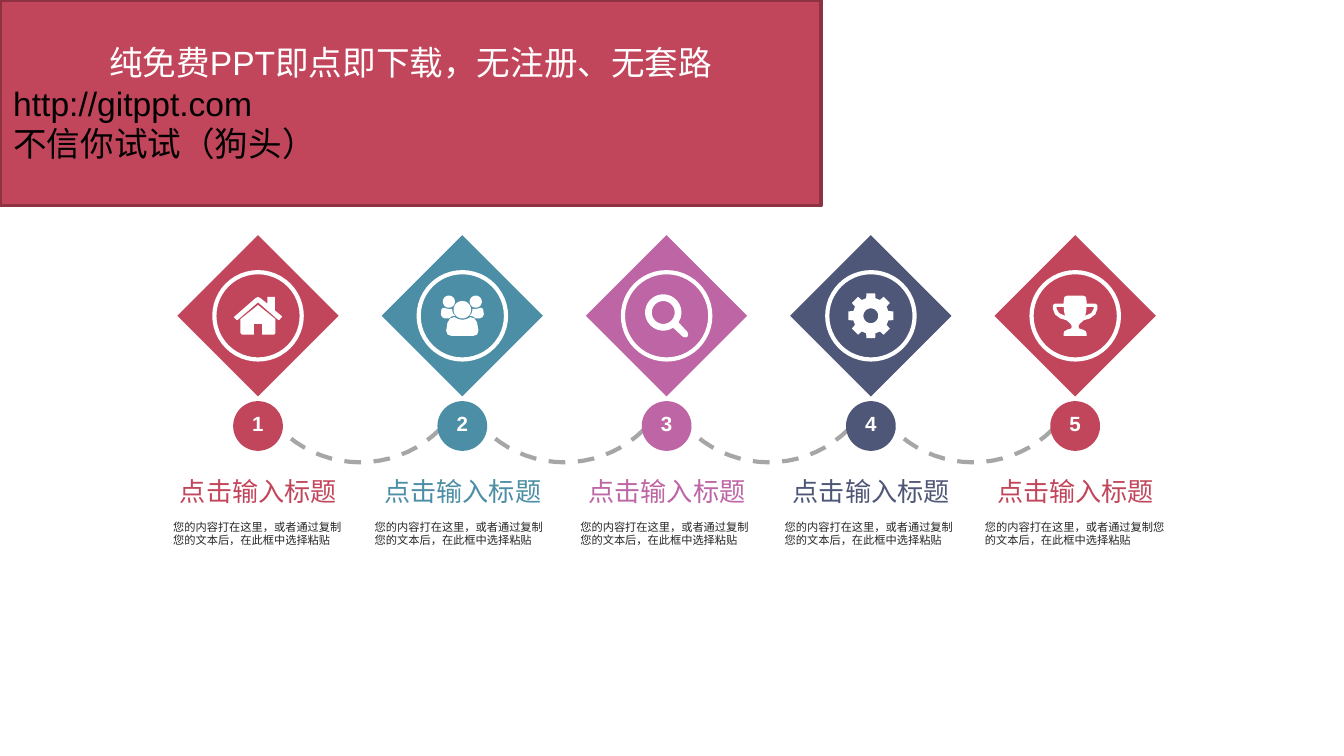
"""Build a five-step timeline slide with diamond icons and a banner."""
from dataclasses import dataclass
from math import cos, radians, sin

from pptx import Presentation
from pptx.dml.color import RGBColor
from pptx.enum.dml import MSO_LINE
from pptx.enum.shapes import MSO_SHAPE as Kind
from pptx.enum.text import MSO_ANCHOR as Anchor, PP_ALIGN as Align
from pptx.shapes.autoshape import Shape
from pptx.slide import Slide
from pptx.util import Inches, Pt

HUES = {
    "red": "C2465B", "teal": "4C8EA5", "pink": "BD65A5", "navy": "4F5778",
    "edge": "8E3141", "dash": "A6A6A6", "ink": "262626",
    "white": "FFFFFF", "black": "000000",
}
WIDTH = 10
HEIGHT = WIDTH * 9 / 16
FIRST, PITCH, MID = 1.92, 1.52, 2.35
TITLE = "点击输入标题"
BODY = "您的内容打在这里，或者通过复制您的文本后，在此框中选择粘贴"

Points = list[tuple[float, float]]


@dataclass
class Line:
    text: str
    size: float
    hue: str
    bold: bool = False
    align: Align = Align.LEFT
    space: float = 1.0


@dataclass
class Step:
    hue: str
    icon: list[Points]
    left: float
    width: float


def arc(x: float, y: float, size: float, start: int = 0, end: int = 360) -> Points:
    return [(x + size * cos(radians(a)), y + size * sin(radians(a)))
            for a in range(start, end + 1, 5)]


def flip(points: Points) -> Points:
    return [(-x, y) for x, y in points]


def whole(half: Points) -> Points:
    return half + flip(half)[::-1]


def gear() -> Points:
    return [(r * cos(radians(45 * k + a)), r * sin(radians(45 * k + a)))
            for k in range(8)
            for r, a in ((13.5, -15), (17, -11), (17, 11), (13.5, 15))]


ROOF = [(-18, 1), (-2, -13), (0, -14), (2, -13), (7, -9), (7, -14), (12.5, -14),
        (12.5, -4), (18, 0.5), (16, 3), (15, 3), (0, -10), (-15, 3), (-16, 3)]
WALL = whole([(0, -8), (13, 2.5), (13, 13), (12, 14), (3, 14), (3, 6)])
SIDE = [(-10, 2), (-13, 2), (-15, 1), (-16, -1), (-15.5, -5), (-14, -6),
        (-10, -5), (-7.5, -5.2), (-7.5, -4), (-7, -2), (-5.5, 0), (-8, 0.5)]
CHEST = whole([(0, 3), (3, 2.5), (6, 1), (9, 2), (11, 5), (12, 11), (11, 14), (8, 15)])
GRIP = [(5, 9), (9, 5), (15.5, 12), (16, 14), (15.5, 15.5), (14, 16), (12, 15.5)]
CUP = whole([(0, -15), (6, -15), (8, -14), (8.5, -11), (8.5, -9), (15, -9),
             (16.5, -8), (16.5, -5), (15, -1), (11, 2), (6.5, 3.3), (4.5, 5),
             (3, 6.5), (2.5, 8), (3, 9.5), (5.5, 10.2), (8, 11.5), (8.5, 13),
             (8.5, 15), (0, 15)])
EAR = [(8.5, -6.5), (13.7, -6.5), (13.7, -5), (12, -2), (7.5, 0), (8.2, -3)]

HOUSE = [ROOF, WALL]
TEAM = [SIDE, flip(SIDE), CHEST, arc(-10, -10.5, 4.5), arc(10, -10.5, 4.5),
        arc(0, -4.5, 6.5)]
LENS = [arc(-2.5, -2.5, 13.5), arc(-2.5, -2.5, 8.5), GRIP]
GEAR = [gear(), arc(0, 0, 5.5)]
PRIZE = [CUP, EAR, flip(EAR)]

STEPS = [
    Step("red", HOUSE, 1.19, 1.45),
    Step("teal", TEAM, 2.69, 1.5),
    Step("pink", LENS, 4.22, 1.48),
    Step("navy", GEAR, 5.74, 1.49),
    Step("red", PRIZE, 7.23, 1.55),
]


def tint(hue: str) -> RGBColor:
    return RGBColor.from_string(HUES[hue])


def paint(shape: Shape, fill: str = "", edge: str = "", weight: float = 2.25) -> None:
    shape.shadow.inherit = False
    if fill:
        shape.fill.solid()
        shape.fill.fore_color.rgb = tint(fill)
    else:
        shape.fill.background()
    if edge:
        shape.line.color.rgb = tint(edge)
        shape.line.width = Pt(weight)
    else:
        shape.line.fill.background()


def block(slide: Slide, kind: Kind, x: float, y: float, wide: float, high: float,
          fill: str, edge: str = "", weight: float = 2.25) -> Shape:
    shape = slide.shapes.add_shape(kind, Inches(x), Inches(y), Inches(wide), Inches(high))
    paint(shape, fill, edge, weight)
    return shape


def center(slide: Slide, kind: Kind, x: float, y: float, size: float,
           fill: str, edge: str = "") -> Shape:
    return block(slide, kind, x - size / 2, y - size / 2, size, size, fill, edge)


def trace(slide: Slide, parts: list[Points], x: float, y: float, close: bool) -> Shape:
    spots = [[(Inches(x + u / 100), Inches(y + v / 100)) for u, v in part]
             for part in parts]
    pen = slide.shapes.build_freeform(*spots[0][0])
    pen.add_line_segments(spots[0][1:], close=close)
    for part in spots[1:]:
        pen.move_to(*part[0])
        pen.add_line_segments(part[1:], close=close)
    return pen.convert_to_shape()


def write(shape: Shape, lines: list[Line], anchor: Anchor, wrap: bool) -> None:
    frame = shape.text_frame
    frame.word_wrap = wrap
    frame.vertical_anchor = anchor
    for i, line in enumerate(lines):
        para = frame.add_paragraph() if i else frame.paragraphs[0]
        para.alignment = line.align
        para.line_spacing = line.space
        run = para.add_run()
        run.text = line.text
        run.font.name = "Arial"
        run.font.size = Pt(line.size)
        run.font.bold = line.bold
        run.font.color.rgb = tint(line.hue)


def label(slide: Slide, x: float, y: float, wide: float, high: float,
          line: Line, anchor: Anchor, wrap: bool) -> None:
    box = slide.shapes.add_textbox(Inches(x), Inches(y), Inches(wide), Inches(high))
    write(box, [line], anchor, wrap)


def link(slide: Slide, x: float) -> None:
    curve = trace(slide, [arc(0, 0, 84, 45, 135)], x, 2.6, False)
    paint(curve, edge="dash")
    curve.line.dash_style = MSO_LINE.DASH


def badge(slide: Slide, x: float, num: int, hue: str) -> None:
    disc = center(slide, Kind.OVAL, x, 3.17, 0.37, hue)
    line = Line(str(num), 11, "white", True, Align.CENTER, 0.8)
    write(disc, [line], Anchor.MIDDLE, False)


def draw(slide: Slide, x: float, step: Step) -> None:
    center(slide, Kind.DIAMOND, x, MID, 1.2, step.hue)
    center(slide, Kind.OVAL, x, MID, 0.65, step.hue, "white")
    paint(trace(slide, step.icon, x, MID, True), "white")
    label(slide, x - 0.68, 3.35, 1.41, 0.47, Line(TITLE, 14, step.hue),
          Anchor.BOTTOM, False)
    label(slide, step.left, 3.82, step.width, 0.42, Line(BODY, 6, "ink"),
          Anchor.TOP, True)


def main() -> None:
    deck = Presentation()
    deck.slide_width, deck.slide_height = Inches(WIDTH), Inches(HEIGHT)
    slide = deck.slides.add_slide(deck.slide_layouts[6])
    spots = [FIRST + PITCH * i for i in range(len(STEPS))]
    for x in spots[:-1]:
        link(slide, x + PITCH / 2)
    for num, (x, step) in enumerate(zip(spots, STEPS), 1):
        badge(slide, x, num, step.hue)
    for x, step in zip(spots, STEPS):
        draw(slide, x, step)
    banner = block(slide, Kind.RECTANGLE, 0, 0, 6.11, 1.53, "red", "edge", 2)
    write(banner, [
        Line("纯免费PPT即点即下载，无注册、无套路", 18, "white", align=Align.CENTER),
        Line("http://gitppt.com", 18, "black"),
        Line("不信你试试（狗头）", 18, "black"),
    ], Anchor.MIDDLE, True)
    deck.save("out.pptx")


if __name__ == "__main__":
    main()
